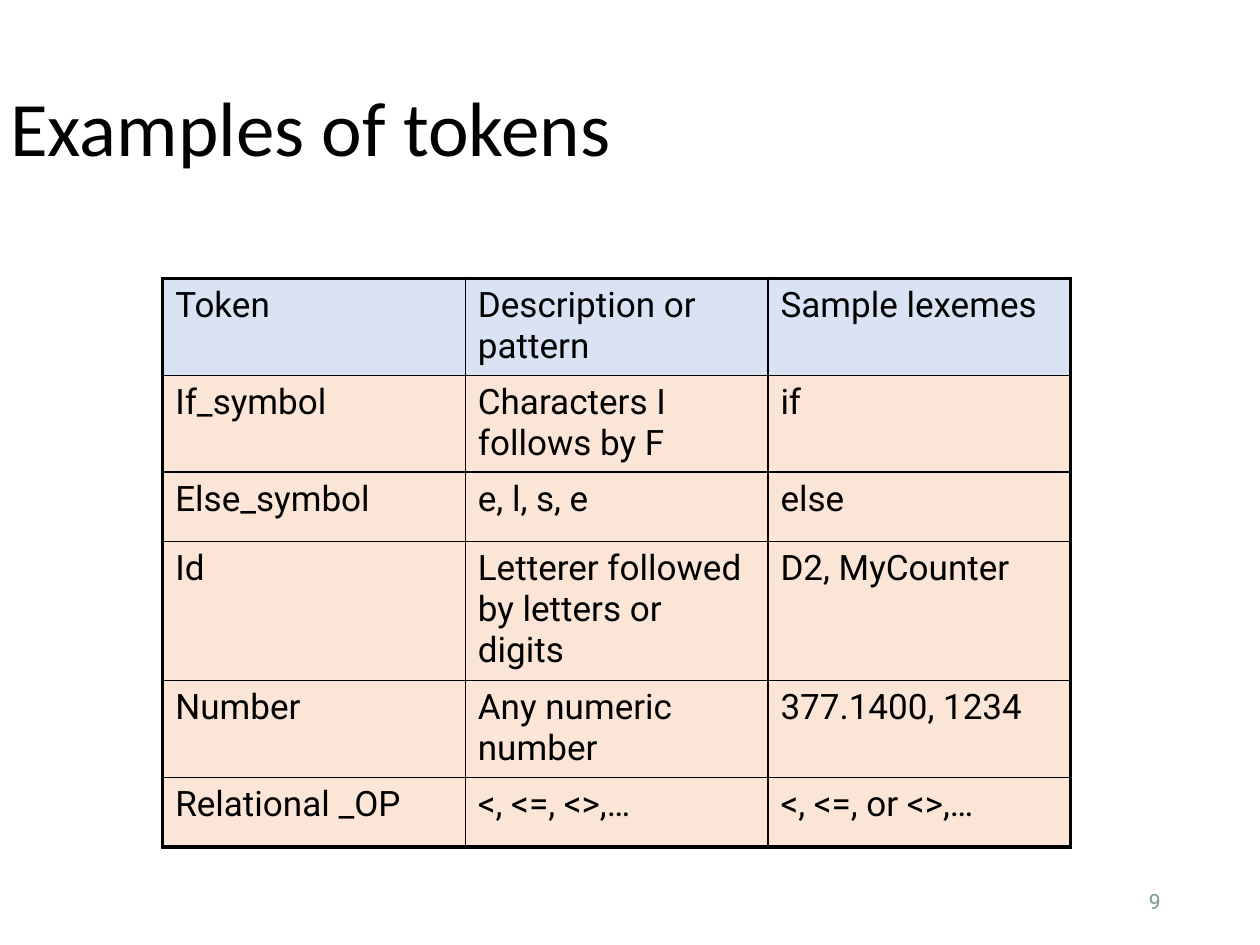
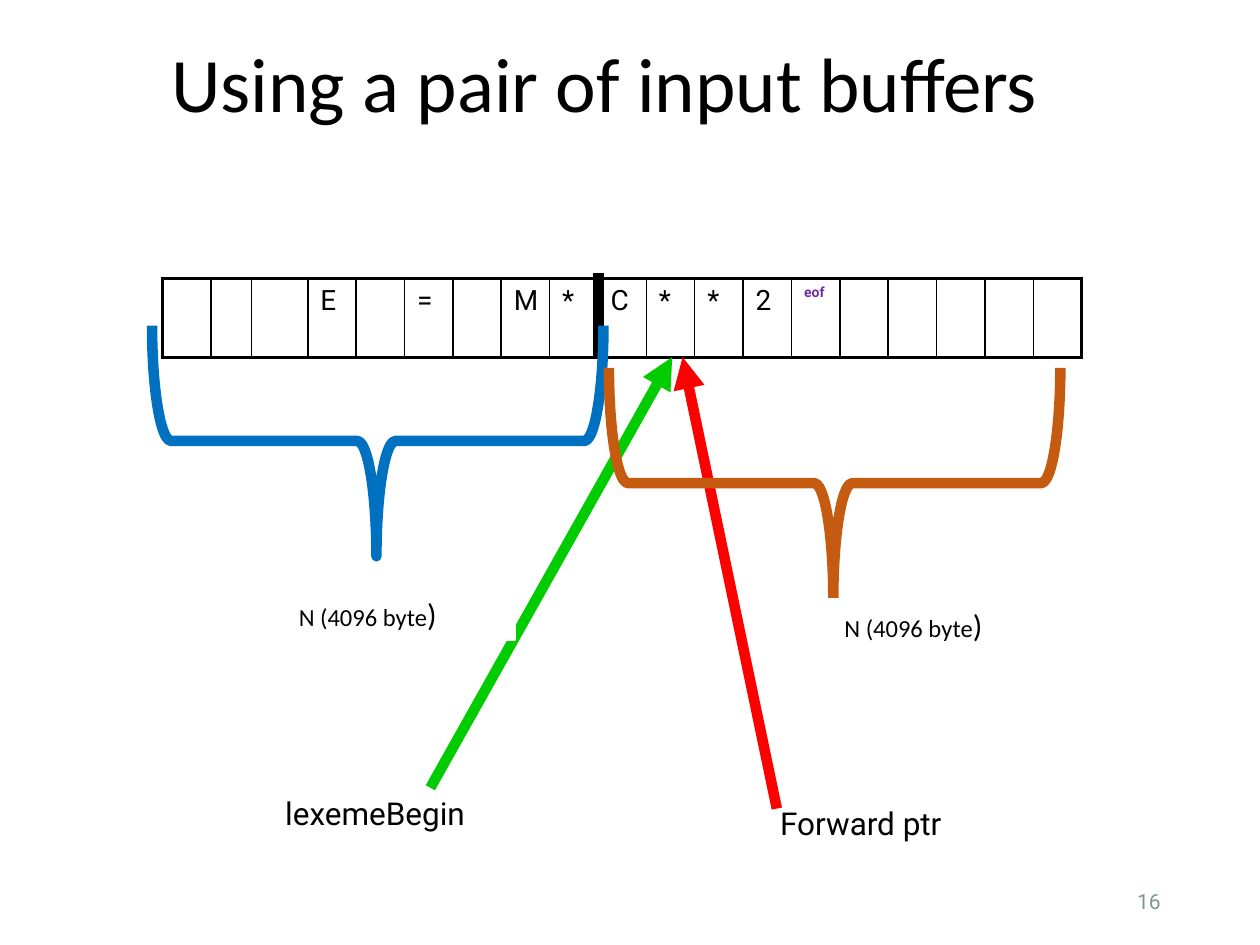
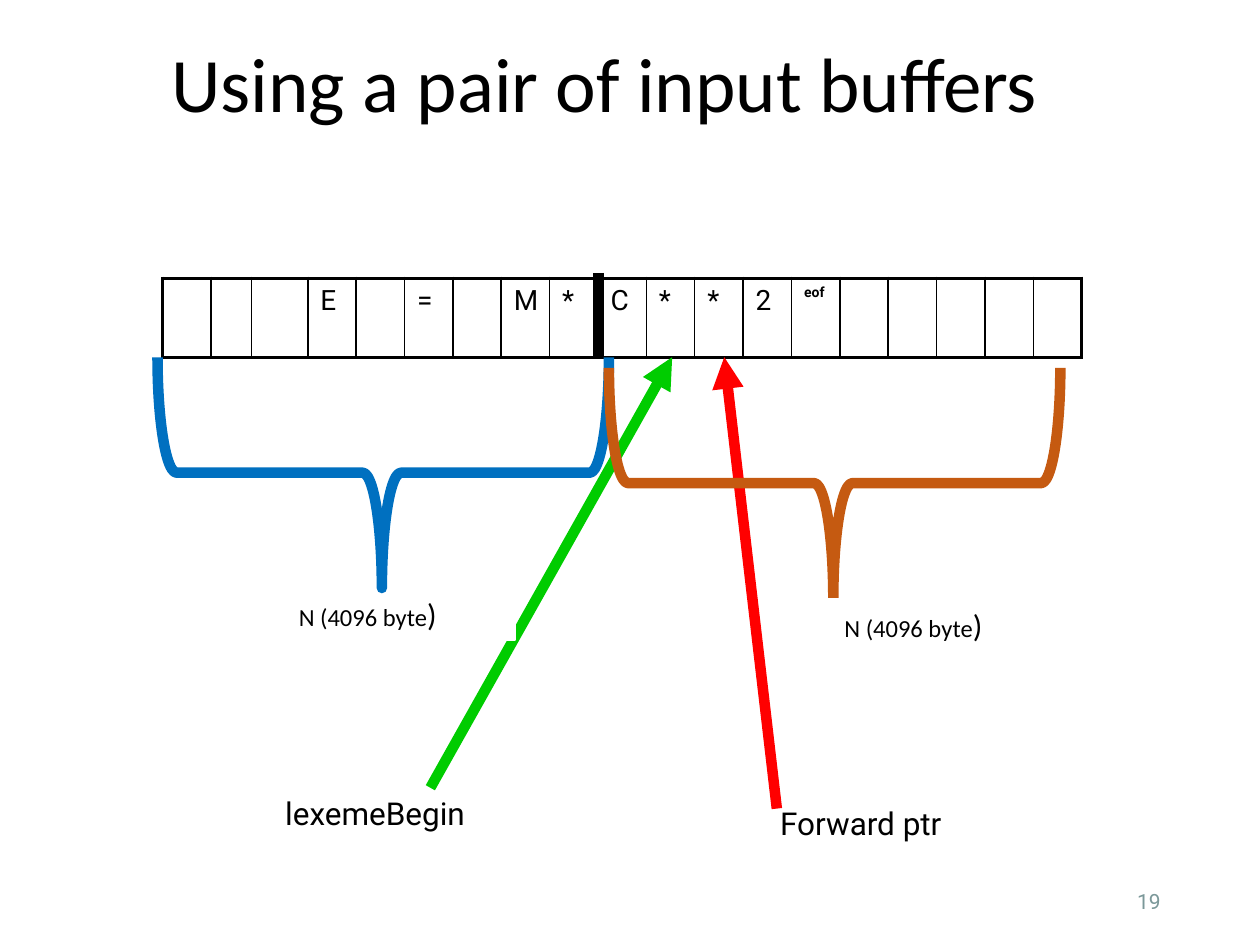
from lxml import etree
from pptx import Presentation
from pptx.dml.color import RGBColor
from pptx.enum.shapes import MSO_CONNECTOR, MSO_SHAPE
from pptx.enum.text import MSO_ANCHOR, MSO_AUTO_SIZE, PP_ALIGN
from pptx.oxml.ns import qn
from pptx.util import Cm, Pt

STRAIGHT = MSO_CONNECTOR.STRAIGHT
RECTANGLE, RIGHT_BRACE = MSO_SHAPE.RECTANGLE, MSO_SHAPE.RIGHT_BRACE
MIDDLE = MSO_ANCHOR.MIDDLE
NO_AUTOFIT = MSO_AUTO_SIZE.NONE
LEFT, CENTER, RIGHT = PP_ALIGN.LEFT, PP_ALIGN.CENTER, PP_ALIGN.RIGHT

BLACK = RGBColor(0x00, 0x00, 0x00)
WHITE = RGBColor(0xFF, 0xFF, 0xFF)
SLATE = RGBColor(0x7B, 0x98, 0x99)
HEADER_BLUE = RGBColor(0xDA, 0xE3, 0xF3)
PEACH = RGBColor(0xFB, 0xE5, 0xD6)
GREEN = RGBColor(0x00, 0xCC, 0x00)
RED = RGBColor(0xFF, 0x00, 0x00)
BLUE = RGBColor(0x00, 0x70, 0xC0)
ORANGE = RGBColor(0xC5, 0x5A, 0x11)
PURPLE = RGBColor(0x70, 0x30, 0xA0)

HEADING_FONT, TEXT_FONT = "Calibri", "Roboto"
INNER_BORDER, OUTER_BORDER = Pt(1), Pt(2.25)
STROKE = Pt(6)
TABLE_LEFT, TABLE_TOP = Cm(3.28), Cm(5.61)

TOKENS = [
    ["Token", "Description or pattern", "Sample lexemes"],
    ["If_symbol", "Characters I follows by F", "if"],
    ["Else_symbol", "e, l, s, e", "else"],
    ["Id", "Letterer followed by letters or digits", "D2, MyCounter"],
    ["Number", "Any numeric number", "377.1400, 1234"],
    ["Relational _OP", "<, <=, <>,…", "<, <=, or <>,…"],
]
TOKEN_ROW_HEIGHTS = [Cm(h) for h in (1.96, 1.92, 1.4, 2.79, 1.96, 1.4)]

BUFFER = ["", "", "", "E", "", "=", "", "M", "*", "C", "*", "*", "2", "eof",
          "", "", "", "", ""]
BUFFER_WIDTH = Cm(18.53)
UNEVEN_WIDTHS = {1: Cm(0.82), 2: Cm(1.13)}


def style_runs(paragraph, size, font=TEXT_FONT, color=BLACK, bold=False):
    """Format every run of a paragraph."""
    for run in paragraph.runs:
        run.font.size = Pt(size)
        run.font.name = font
        run.font.color.rgb = color
        run.font.bold = bold


def add_label(slide, text, left, top, width, size, color=BLACK, align=LEFT):
    """Add a one-line text box."""
    label = slide.shapes.add_textbox(left, top, width, Cm(1.02))
    label.text_frame.word_wrap = True
    label.text_frame.text = text
    line = label.text_frame.paragraphs[0]
    line.alignment = align
    style_runs(line, size, color=color)
    return label


def add_titled_slide(prs, title, left, top, number):
    """Add a slide with its title and slide number."""
    slide = prs.slides.add_slide(prs.slide_layouts[5])
    heading = slide.shapes.title
    heading.left, heading.top = left, top
    heading.width, heading.height = Cm(21.64), Cm(2.36)
    frame = heading.text_frame
    frame.text = title
    frame.auto_size = NO_AUTOFIT
    frame.vertical_anchor = MIDDLE
    frame.paragraphs[0].alignment = LEFT
    frame.paragraphs[0].line_spacing = 0.9
    style_runs(frame.paragraphs[0], 44, HEADING_FONT)
    footer = add_label(slide, str(number), Cm(17.93), Cm(17.65), Cm(5.72), 12,
                       SLATE, RIGHT)
    footer.text_frame.vertical_anchor = MIDDLE
    return slide


def set_borders(cell, outer_sides):
    """Draw black cell borders, thicker on the outer sides."""
    properties = cell._tc.get_or_add_tcPr()
    for side in "LRTB":
        width = OUTER_BORDER if side in outer_sides else INNER_BORDER
        border = etree.SubElement(properties, qn(f"a:ln{side}"), w=str(width))
        fill = etree.SubElement(border, qn("a:solidFill"))
        etree.SubElement(fill, qn("a:srgbClr"), val=str(BLACK))


def add_grid(slide, rows, column_widths, row_heights, size):
    """Add a framed, unfilled table and return it."""
    grid = slide.shapes.add_table(len(rows), len(column_widths), TABLE_LEFT, TABLE_TOP,
                                  sum(column_widths), sum(row_heights)).table
    grid.first_row = grid.horz_banding = False
    for column, width in zip(grid.columns, column_widths):
        column.width = width
    for row, height in zip(grid.rows, row_heights):
        row.height = height
    last_row, last_column = len(rows) - 1, len(column_widths) - 1
    for r, texts in enumerate(rows):
        for c, text in enumerate(texts):
            cell = grid.cell(r, c)
            on_edge = {"L": c == 0, "R": c == last_column, "T": r == 0, "B": r == last_row}
            set_borders(cell, [side for side, outer in on_edge.items() if outer])
            cell.fill.background()
            cell.text_frame.text = text
            style_runs(cell.text_frame.paragraphs[0], size)
    return grid


def add_line(slide, start, end, color, arrow=False):
    """Add a thick straight line, with an arrowhead at its end if asked."""
    line = slide.shapes.add_connector(STRAIGHT, *start, *end)
    line.line.color.rgb = color
    line.line.width = STROKE
    if arrow:
        etree.SubElement(line.line._get_or_add_ln(), qn("a:tailEnd"), type="triangle")
    etree.SubElement(line._element.spPr, qn("a:effectLst"))
    return line


def add_brace(slide, left, top, color):
    """Add a brace that opens upwards."""
    brace = slide.shapes.add_shape(RIGHT_BRACE, left, top, Cm(4.65), Cm(9.1))
    brace.rotation = 90
    brace.adjustments[0], brace.adjustments[1] = 0.083, 0.503
    brace.shadow.inherit = False
    brace.fill.background()
    brace.line.color.rgb = color
    brace.line.width = STROKE


def add_size_label(slide, left, top):
    """Add the white box that tells the size of a buffer half."""
    box = slide.shapes.add_shape(RECTANGLE, left, top, Cm(5.93), Cm(1.06))
    box.shadow.inherit = False
    box.fill.solid()
    box.fill.fore_color.rgb = WHITE
    box.line.color.rgb = WHITE
    box.line.width = Pt(1)
    box.text_frame.vertical_anchor = MIDDLE
    box.text_frame.text = "N (4096 byte"
    caption = box.text_frame.paragraphs[0]
    caption.alignment = CENTER
    closing = caption.add_run()
    closing.text = ")"
    style_runs(caption, 14, HEADING_FONT)
    closing.font.size = Pt(18)


def add_token_slide(prs):
    """Add the slide with the table of tokens."""
    slide = add_titled_slide(prs, "Examples of tokens", Cm(-0.05), Cm(1.47), 9)
    tokens = add_grid(slide, TOKENS, [Cm(6.1)] * 3, TOKEN_ROW_HEIGHTS, 20)
    for r, row in enumerate(tokens.rows):
        for cell in row.cells:
            cell.fill.solid()
            cell.fill.fore_color.rgb = PEACH if r else HEADER_BLUE


def add_buffer_slide(prs, number, eof_color, forward_x, brace_left, brace_top):
    """Add a slide that shows the two buffer halves and their pointers."""
    slide = add_titled_slide(prs, "Using a pair of input buffers", Cm(3.2), Cm(0.58), number)
    even_width = ((BUFFER_WIDTH - sum(UNEVEN_WIDTHS.values()))
                  // (len(BUFFER) - len(UNEVEN_WIDTHS)))
    widths = [UNEVEN_WIDTHS.get(c, even_width) for c in range(len(BUFFER))]
    buffer = add_grid(slide, [BUFFER], widths, [Cm(1.6)], 16)
    eof = buffer.cell(0, BUFFER.index("eof"))
    style_runs(eof.text_frame.paragraphs[0], 8, color=eof_color, bold=True)

    buffer_bottom = Cm(7.2)
    lexeme_begin = add_label(slide, "lexemeBegin", Cm(5.5), Cm(15.88), Cm(6.35), 18)
    begin_arrow = add_line(slide, (Cm(8.68), Cm(15.88)), (Cm(13.55), buffer_bottom),
                           GREEN, arrow=True)
    begin_arrow.begin_connect(lexeme_begin, 0)
    add_line(slide, (Cm(15.66), Cm(16.3)), (forward_x, buffer_bottom), RED, arrow=True)
    add_label(slide, "Forward ptr", Cm(14.18), Cm(16.09), Cm(6.35), 18, align=CENTER)
    add_line(slide, (Cm(12.07), Cm(5.5)), (Cm(12.07), buffer_bottom), BLACK)
    add_size_label(slide, Cm(4.45), Cm(11.85))
    add_brace(slide, brace_left, brace_top, BLUE)
    add_brace(slide, Cm(14.5), Cm(5.19), ORANGE)
    add_size_label(slide, Cm(15.45), Cm(12.07))


def main():
    """Build the presentation."""
    prs = Presentation()
    prs.slide_width, prs.slide_height = Cm(25.4), Cm(19.05)
    add_token_slide(prs)
    add_buffer_slide(prs, 16, PURPLE, Cm(13.76), Cm(5.29), Cm(4.34))
    add_buffer_slide(prs, 19, BLACK, Cm(14.6), Cm(5.4), Cm(4.98))
    prs.save("out.pptx")


if __name__ == "__main__":
    main()
